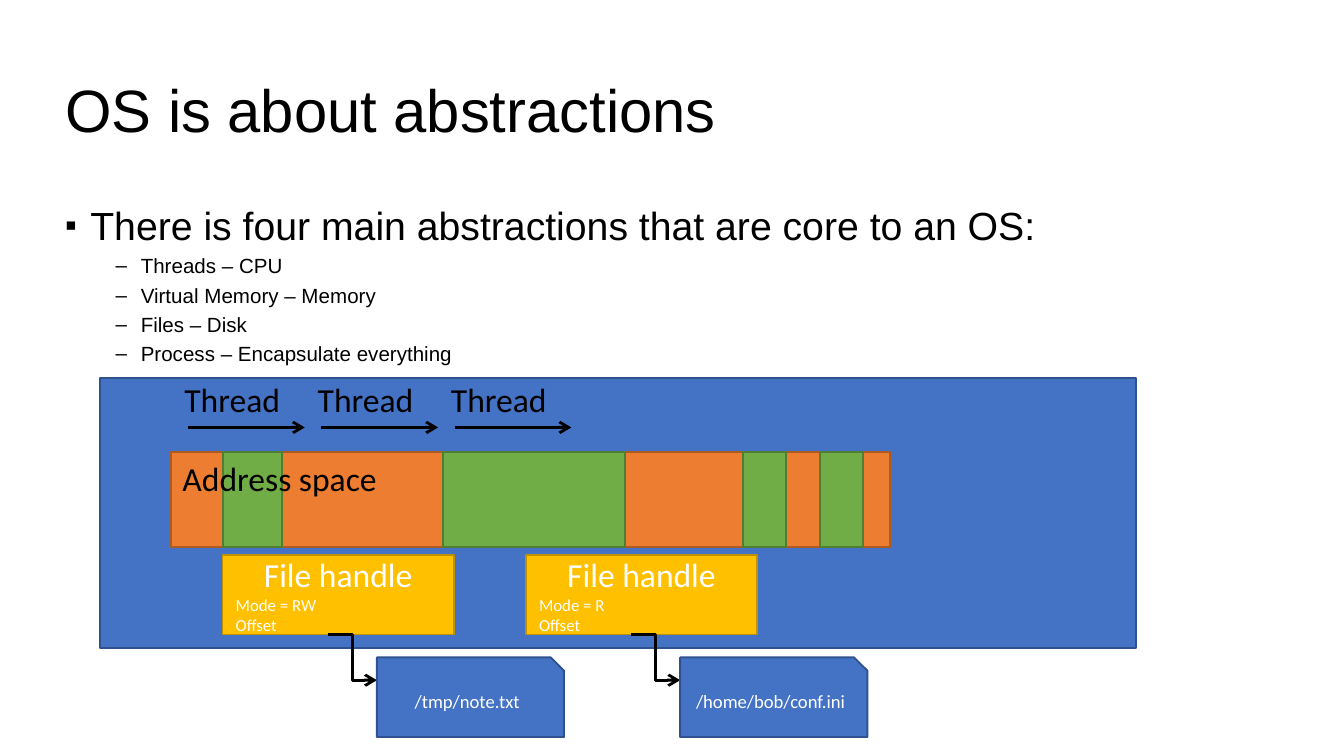
from pptx import Presentation
from pptx.dml.color import RGBColor
from pptx.enum.shapes import MSO_CONNECTOR, MSO_SHAPE
from pptx.enum.text import MSO_ANCHOR, PP_ALIGN
from pptx.oxml.ns import qn
from pptx.util import Pt
from lxml import etree

RECT = MSO_SHAPE.RECTANGLE
SNIP = MSO_SHAPE.SNIP_1_RECTANGLE
LINE = MSO_CONNECTOR.STRAIGHT
BENT = MSO_CONNECTOR.ELBOW
MID = MSO_ANCHOR.MIDDLE
TOP = MSO_ANCHOR.TOP
LEFT = PP_ALIGN.LEFT
MIDDLE = PP_ALIGN.CENTER

BLACK, WHITE = "000000", "FFFFFF"
BLUE = ("4472C4", "2F528F")
ORANGE = ("ED7D31", "AE5A21")
GREEN = ("70AD47", "507E32")
GOLD = ("FFC000", "BF9000")

TITLE = "OS is about abstractions"
LEAD = "There is four main abstractions that are core to an OS:"
ITEMS = ["Threads – CPU", "Virtual Memory – Memory", "Files – Disk",
         "Process – Encapsulate everything"]
THREADS = ["Thread", "Thread", "Thread"]
PAGES = [(119.5, 31.5), (237.5, 97.5), (398.2, 23), (439.4, 23)]
FILES = [("Mode = RW", "/tmp/note.txt"), ("Mode = R", "/home/bob/conf.ini")]

deck = Presentation()
deck.slide_width, deck.slide_height = Pt(720), Pt(405)
slide = deck.slides.add_slide(deck.slide_layouts[6])
shapes = slide.shapes


def color(code):
    return RGBColor.from_string(code)


def write(frame, lines, face, ink, anchor=TOP):
    frame.vertical_anchor = anchor
    frame.text = "\n".join(text for text, size, align in lines)
    for para, (text, size, align) in zip(frame.paragraphs, lines):
        para.alignment = align
        for run in para.runs:
            run.font.size = Pt(size)
            run.font.name = face
            run.font.color.rgb = color(ink)


def block(kind, area, paint, lines=()):
    shape = shapes.add_shape(kind, *map(Pt, area))
    shape.shadow.inherit = False
    fill, edge = paint
    shape.fill.solid()
    shape.fill.fore_color.rgb = color(fill)
    shape.line.color.rgb = color(edge)
    shape.line.width = Pt(1)
    if lines:
        write(shape.text_frame, lines, "Calibri", WHITE, MID)


def label(text, left, top, width):
    frame = shapes.add_textbox(*map(Pt, (left, top, width, 29))).text_frame
    frame.word_wrap = False
    write(frame, [(text, 18, LEFT)], "Calibri", BLACK)


def arrow(kind, *ends):
    link = shapes.add_connector(kind, *map(Pt, ends))
    link.line.color.rgb = color(BLACK)
    link.line.width = Pt(1.5)
    etree.SubElement(link.line._get_or_add_ln(), qn("a:tailEnd"), type="arrow")
    etree.SubElement(link._element.spPr, qn("a:effectLst"))


def prose(top, height, lines, anchor):
    frame = shapes.add_textbox(*map(Pt, (29.5, top, 661.5, height))).text_frame
    frame.word_wrap = True
    frame.margin_left = frame.margin_right = Pt(5.4)
    frame.margin_top = frame.margin_bottom = Pt(2.7)
    write(frame, lines, "Arial", BLACK, anchor)
    for para in frame.paragraphs:
        para.line_spacing = 0.9
    return frame.paragraphs


def bullet(para, mark, indent, size, before):
    para.space_before = Pt(before)
    props = para._p.get_or_add_pPr()
    props.set("marL", str(Pt(indent)))
    props.set("indent", str(-Pt(13.5)))
    etree.SubElement(props, qn("a:buSzPct"), val=str(size * 1000))
    etree.SubElement(props, qn("a:buFont"), typeface="Arial")
    etree.SubElement(props, qn("a:buChar"), char=mark)


prose(21.6, 78.5, [(TITLE, 32, LEFT)], MID)
lead, *items = prose(108, 227.5, [(LEAD, 21, LEFT)] + [(t, 11, LEFT) for t in ITEMS], TOP)
bullet(lead, "▪", 13.5, 85, 7.5)
for item in items:
    item.level = 1
    bullet(item, "–", 40.5, 100, 3.8)

block(RECT, (53.5, 202.5, 555, 144.7), BLUE)
block(RECT, (91.5, 242, 385.2, 51), ORANGE)
for left, width in PAGES:
    block(RECT, (left, 242, width, 51), GREEN)

for i, name in enumerate(THREADS):
    left = 91.7 + 71.4 * i
    arrow(LINE, left + 9, 229, left + 71.6, 229)
    label(name, left, 199.7, 66)
label("Address space", 90.7, 242, 119.5)

for i, (mode, name) in enumerate(FILES):
    left = 119.2 + 162.5 * i
    block(RECT, (left, 297.3, 124, 42.7), GOLD,
          [("File handle", 18, MIDDLE), (mode, 9, LEFT), ("Offset", 9, LEFT)])
    arrow(BENT, left + 56.6, 340, left + 82.7, 364.4)
    block(SNIP, (left + 82.7, 352.2, 100.3, 42.7), BLUE, [(name, 10, MIDDLE)])

deck.save("out.pptx")
